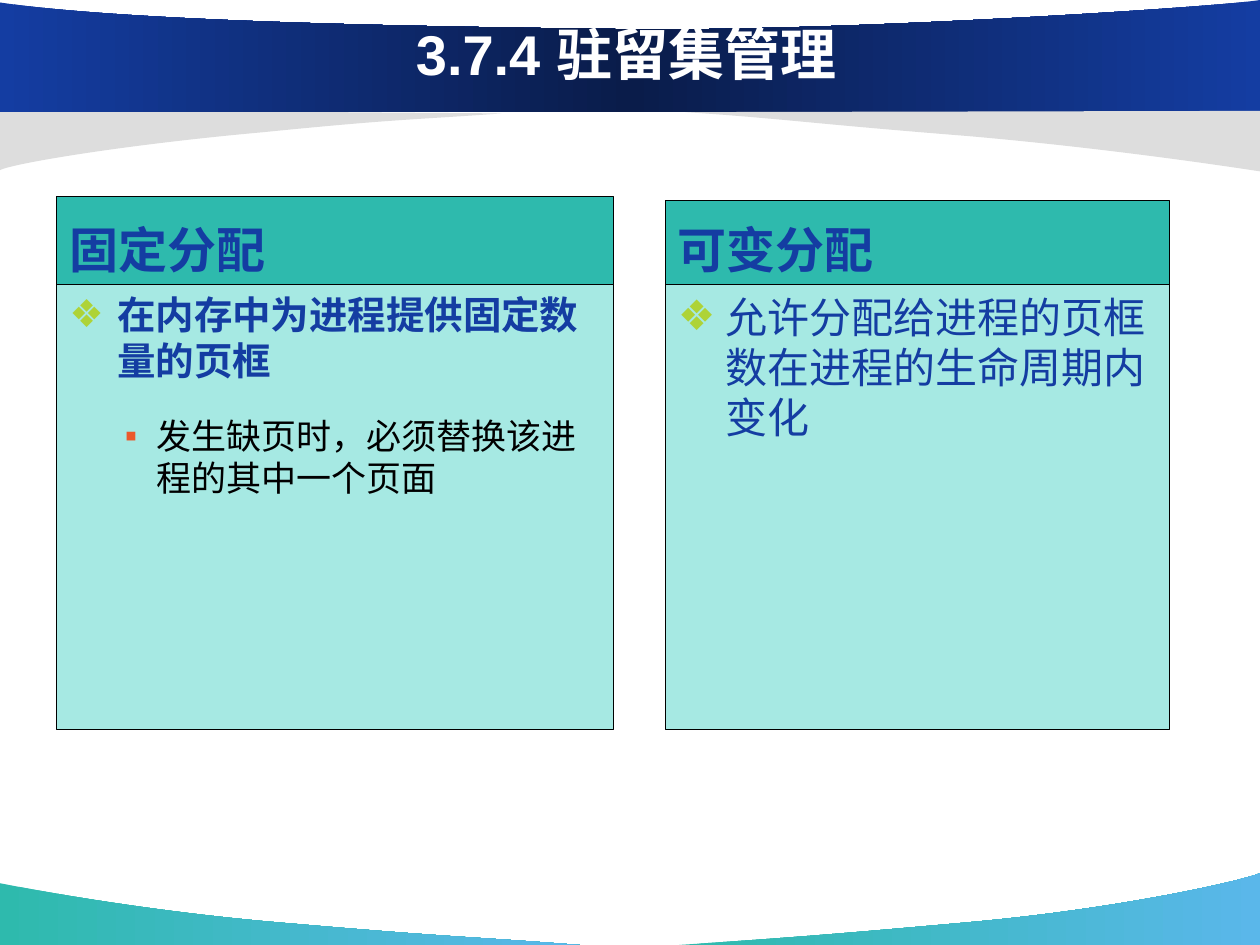
"""Build the slide on resident set management."""
from copy import deepcopy
from dataclasses import dataclass

from lxml import etree
from pptx import Presentation, util as u
from pptx.dml.color import RGBColor
from pptx.enum import text
from pptx.oxml.ns import qn


@dataclass(frozen=True)
class Theme:
    font: str = "Arial"
    blue: str = "143DA2"
    navy: str = "0A1C4A"
    teal: str = "2EBAAD"
    sky: str = "5AB7EA"
    mint: str = "A6E9E3"
    grey: str = "DDDDDD"
    lime: str = "AED337"
    red: str = "EB592B"
    black: str = "000000"
    white: str = "FFFFFF"
    title: float = 32
    head: float = 28
    large: float = 24
    point: float = 22
    small: float = 20
    rule: float = 0.75


T = Theme()


@dataclass(frozen=True)
class Mark:
    sign: str
    color: str
    left: float
    hang: float


@dataclass(frozen=True)
class Line:
    words: str
    size: float
    color: str
    bold: bool = False
    mark: Mark | None = None
    level: int = 0
    before: float = 0


@dataclass(frozen=True)
class Panel:
    slot: int
    left: float
    top: float
    width: float
    head: Line
    body: tuple[Line, ...]


@dataclass(frozen=True)
class Wave:
    start: tuple[float, float]
    bends: tuple[tuple[float, float], ...]
    ends: tuple[tuple[float, float], ...]
    fills: tuple[str, ...]


SPLIT, FLOOR = 2.26, 5.79
STAR = Mark("❖", T.lime, 0.38, 0.38)
SQUARE = Mark("▪", T.red, 0.69, 0.25)
WAVES = (
    Wave((4.6, 7.5), ((3.84, 7.44), (3.58, 7.44), (2.32, 7.33), (1.06, 7.23), (0.01, 7.01), (0, 7.01)),
         ((0, 7.5),), (T.teal, T.sky)),
    Wave((5.39, 7.5), ((6.14, 7.45), (6.46, 7.43), (7.69, 7.32), (8.92, 7.21), (9.9, 6.98), (10, 6.93)),
         ((10, 7.5),), (T.teal, T.sky)),
    Wave((3.98, 0.9), ((3.31, 0.95), (3.18, 0.94), (2.08, 1.05), (0.97, 1.15), (0.09, 1.3), (0, 1.35)),
         ((0, 0.87),), (T.grey,)),
    Wave((10, 0), ((9.64, 0.06), (6.53, 0.26), (4.87, 0.23), (3.21, 0.21), (1.01, 0.17), (0, 0.02)),
         ((0, 0.89), (10, 0.89)), (T.blue, T.navy, T.blue)),
    Wave((5.44, 0.89), ((6.2, 0.94), (6.42, 0.98), (7.68, 1.08), (8.94, 1.19), (9.99, 1.36), (10, 1.36)),
         ((10, 0.88),), (T.grey,)),
)
PANELS = (
    Panel(1, 0.45, 1.56, 4.42, Line("固定分配", T.head, T.blue, True), (
        Line("在内存中为进程提供固定数量的页框", T.point, T.blue, True, STAR),
        Line("发生缺页时，必须替换该进程的其中一个页面", T.small, T.black, False, SQUARE, 1, 18),
    )),
    Panel(3, 5.28, 1.59, 4, Line("可变分配", T.head, T.blue, True), (
        Line("允许分配给进程的页框数在进程的生命周期内变化", T.large, T.blue, False, STAR),
    )),
)


def rgb(code: str) -> RGBColor:
    """Turn a hex code into a colour."""
    return RGBColor.from_string(code)


def paint(shape, codes: tuple[str, ...]) -> None:
    """Fill a shape with one colour or an even blend."""
    if len(codes) == 1:
        shape.fill.solid()
        shape.fill.fore_color.rgb = rgb(codes[0])
        return
    shape.fill.gradient()
    shape.fill.gradient_angle = 0
    stops = shape._element.find(".//" + qn("a:gsLst"))
    for _ in codes[2:]:
        stops.insert(1, deepcopy(stops[0]))
    for spot, (stop, code) in enumerate(zip(shape.fill.gradient_stops, codes)):
        stop.color.rgb = rgb(code)
        stop.position = spot / (len(codes) - 1)


def bend(shape, count: int) -> None:
    """Join the first straight segments, three by three, into curves."""
    legs = shape._element.findall(".//" + qn("a:lnTo"))[:count]
    for first in range(0, count, 3):
        curve = etree.Element(qn("a:cubicBezTo"))
        legs[first].addprevious(curve)
        for leg in legs[first:first + 3]:
            curve.append(leg[0])
            leg.getparent().remove(leg)


def draw_wave(slide, wave: Wave, depth: int) -> None:
    """Draw a wave behind the text."""
    spots = [(u.Inches(x), u.Inches(y)) for x, y in (wave.start, *wave.bends, *wave.ends)]
    pen = slide.shapes.build_freeform(*spots[0])
    pen.add_line_segments(spots[1:], close=True)
    shape = pen.convert_to_shape()
    bend(shape, len(wave.bends))
    shape.shadow.inherit = False
    shape.line.fill.background()
    paint(shape, wave.fills)
    slide.shapes._spTree.insert(2 + depth, shape._element)


def set_mark(para, mark: Mark | None) -> None:
    """Give a paragraph its bullet and indent."""
    props = para._p.get_or_add_pPr()
    props.set("marL", str(u.Inches(mark.left if mark else 0)))
    props.set("indent", str(u.Inches(-mark.hang if mark else 0)))
    if mark is None:
        etree.SubElement(props, qn("a:buNone"))
        return
    tint = etree.SubElement(props, qn("a:buClr"))
    etree.SubElement(tint, qn("a:srgbClr"), val=mark.color)
    etree.SubElement(props, qn("a:buFont"), typeface=T.font)
    etree.SubElement(props, qn("a:buChar"), char=mark.sign)


def write(shape, lines: tuple[Line, ...], anchor, align) -> None:
    """Write lines into a shape."""
    frame = shape.text_frame
    frame.word_wrap = True
    frame.auto_size = text.MSO_AUTO_SIZE.NONE
    frame.vertical_anchor = anchor
    for count, line in enumerate(lines):
        para = frame.add_paragraph() if count else frame.paragraphs[0]
        para.level, para.alignment = line.level, align
        para.space_before = u.Pt(line.before)
        set_mark(para, line.mark)
        run = para.add_run()
        run.text = line.words
        font = run.font
        font.name, font.size, font.bold = T.font, u.Pt(line.size), line.bold
        font.color.rgb = rgb(line.color)


def place(shape, left: float, top: float, width: float, height: float) -> None:
    """Move and size a shape in inches."""
    shape.left, shape.top = u.Inches(left), u.Inches(top)
    shape.width, shape.height = u.Inches(width), u.Inches(height)


def draw_panel(slide, panel: Panel) -> None:
    """Draw a heading box with its list below."""
    slots = {s.placeholder_format.idx: s for s in slide.placeholders}
    anchors = text.MSO_ANCHOR
    parts = (
        (panel.top, SPLIT, T.teal, (panel.head,), anchors.BOTTOM),
        (SPLIT, FLOOR, T.mint, panel.body, anchors.TOP),
    )
    for step, (top, base, fill, lines, anchor) in enumerate(parts):
        shape = slots[panel.slot + step]
        place(shape, panel.left, top, panel.width, base - top)
        paint(shape, (fill,))
        shape.line.color.rgb = rgb(T.black)
        shape.line.width = u.Pt(T.rule)
        write(shape, lines, anchor, text.PP_ALIGN.LEFT)


def main() -> None:
    """Build and save the deck."""
    deck = Presentation()
    deck.slide_width, deck.slide_height = u.Inches(10), u.Inches(7.5)
    slide = deck.slides.add_slide(deck.slide_layouts.get_by_name("Comparison"))
    for depth, wave in enumerate(WAVES):
        draw_wave(slide, wave, depth)
    title = slide.shapes.title
    place(title, 0.69, 0, 8.56, 0.85)
    write(title, (Line("3.7.4 驻留集管理", T.title, T.white, True),),
          text.MSO_ANCHOR.MIDDLE, text.PP_ALIGN.CENTER)
    for panel in PANELS:
        draw_panel(slide, panel)
    deck.save("out.pptx")


if __name__ == "__main__":
    main()
